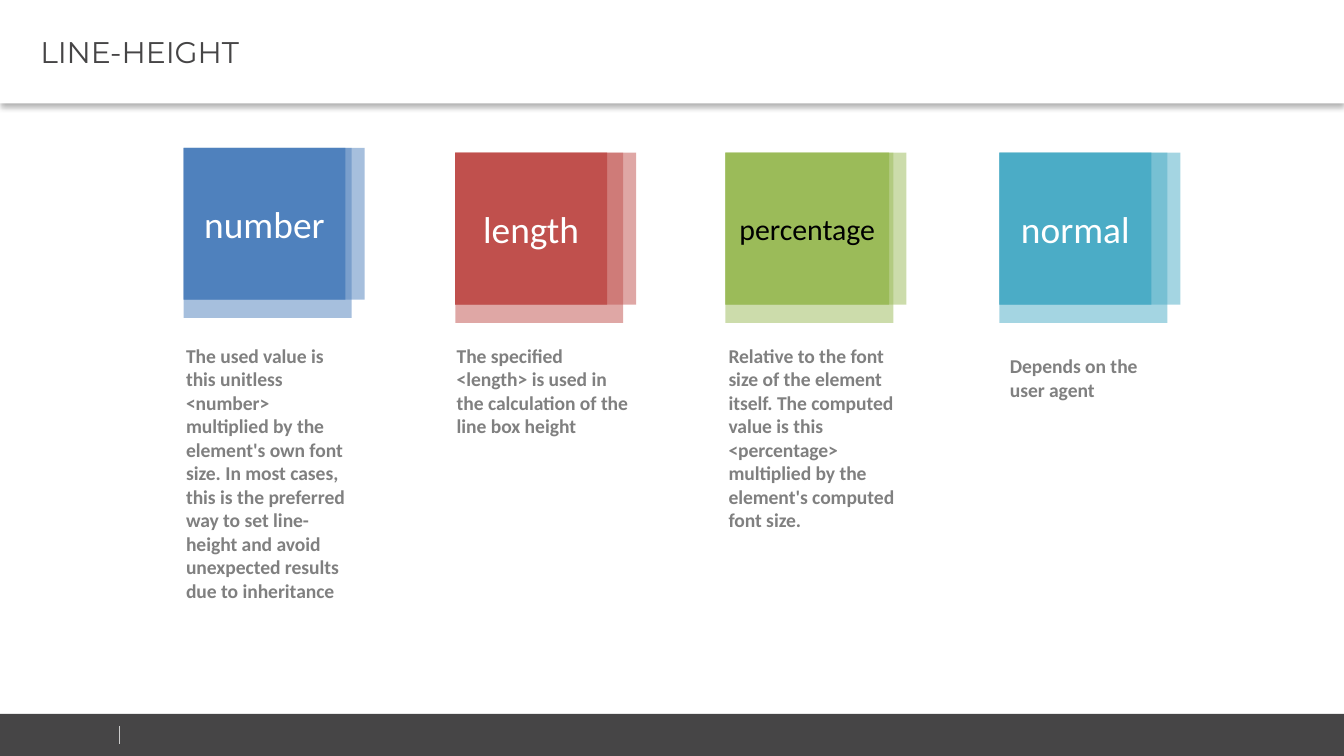
from lxml import etree
from pptx import Presentation
from pptx.dml.color import RGBColor
from pptx.enum import shapes as kinds, text as t
from pptx.oxml.ns import qn
from pptx.util import Pt

WHITE = RGBColor(0xFF, 0xFF, 0xFF)
BLACK = RGBColor(0, 0, 0)
DARK = RGBColor(0x46, 0x45, 0x46)
GREY = RGBColor(0x80, 0x80, 0x80)
RULE = RGBColor(0xCC, 0xCC, 0xCC)
BLUE = RGBColor(0x4F, 0x81, 0xBD)
RED = RGBColor(0xC0, 0x50, 0x4D)
GREEN = RGBColor(0x9B, 0xBB, 0x59)
TEAL = RGBColor(0x4B, 0xAC, 0xC6)

WIDTH, HEIGHT = 720, 405
TITLE = "LINE-HEIGHT"
# label, size, ink, fill, (left, top, front width), note, (left, top, width, height)
CARDS = [
    ("number", 20, WHITE, BLUE, (98.4, 79.2, 86.6),
     "The used value is this unitless <number> multiplied by the element's "
     "own font size. In most cases, this is the preferred way to set "
     "line-height and avoid unexpected results due to inheritance",
     (92.6, 180.6, 100, 173)),
    ("length", 20, WHITE, RED, (243.9, 81.8, 81.4),
     "The specified <length> is used in the calculation of the line box height",
     (237.6, 180.6, 108, 58)),
    ("percentage", 16, BLACK, GREEN, (388.6, 81.8, 87.8),
     "Relative to the font size of the element itself. The computed value is "
     "this <percentage> multiplied by the element's computed font size.",
     (383.2, 180.6, 113.8, 109)),
    ("normal", 20, WHITE, TEAL, (535.4, 81.8, 81.4),
     "Depends on the user agent", (533.9, 186.2, 101.5, 32)),
]
SIDE = 81.4           # height of the front square
WIDE = (97, SIDE)     # back panel showing at the right
TALL = (90, 91.2)     # back panel showing below

deck = Presentation()
deck.slide_width, deck.slide_height = Pt(WIDTH), Pt(HEIGHT)
slide = deck.slides.add_slide(deck.slide_layouts[6])


def add_box(left, top, width, height, fill, alpha=None):
    """Draw a plain rectangle; alpha is its opacity in percent."""
    box = slide.shapes.add_shape(kinds.MSO_SHAPE.RECTANGLE, Pt(left), Pt(top),
                                 Pt(width), Pt(height))
    box.shadow.inherit = False
    box.fill.solid()
    box.fill.fore_color.rgb = fill
    box.line.fill.background()
    if alpha:
        tint = box.fill._xPr.find(".//" + qn("a:srgbClr"))
        etree.SubElement(tint, qn("a:alpha"), val=str(alpha * 1000))
    return box


def write(box, words, face, size, ink, align=t.PP_ALIGN.LEFT, bold=False):
    box.text_frame.word_wrap = True
    par = box.text_frame.paragraphs[0]
    par.text, par.alignment = words, align
    font = par.font
    font.name, font.size, font.bold = face, Pt(size), bold
    font.color.rgb = ink


def drop_shadow(box, blur, dist, alpha):
    effects = box._element.spPr.find(qn("a:effectLst"))
    shade = etree.SubElement(effects, qn("a:outerShdw"), blurRad=str(Pt(blur)),
                             dist=str(Pt(dist)), dir="5400000", rotWithShape="0")
    tint = etree.SubElement(shade, qn("a:srgbClr"), val=str(BLACK))
    etree.SubElement(tint, qn("a:alpha"), val=str(alpha * 1000))


# Footer
add_box(0, 382.4, WIDTH, HEIGHT - 382.4, DARK)
rule = slide.shapes.add_connector(kinds.MSO_CONNECTOR.STRAIGHT,
                                  Pt(64), Pt(388.9), Pt(64), Pt(398.8))
rule.line.color.rgb, rule.line.width = RULE, Pt(0.25)
etree.SubElement(rule._element.spPr, qn("a:effectLst"))

# Cards
for label, size, ink, fill, (left, top, width), note, place in CARDS:
    for panel in (WIDE, TALL):
        add_box(left, top, *panel, fill, alpha=50)
    front = add_box(left, top, width, SIDE, fill)
    frame = front.text_frame
    frame.margin_left = frame.margin_right = 0
    frame.vertical_anchor = t.MSO_ANCHOR.MIDDLE
    write(front, label, "Calibri", size, ink, t.PP_ALIGN.CENTER)
    text_box = slide.shapes.add_textbox(*map(Pt, place))
    write(text_box, note, "Calibri", 10.5, GREY, bold=True)

# Title bar
bar = add_box(0, 0, WIDTH, 55.4, WHITE)
drop_shadow(bar, blur=3.1, dist=2, alpha=30)
bar.text_frame.margin_left = Pt(21.6)
bar.text_frame.vertical_anchor = t.MSO_ANCHOR.MIDDLE
write(bar, TITLE, "Montserrat", 16, DARK)

deck.save("out.pptx")
